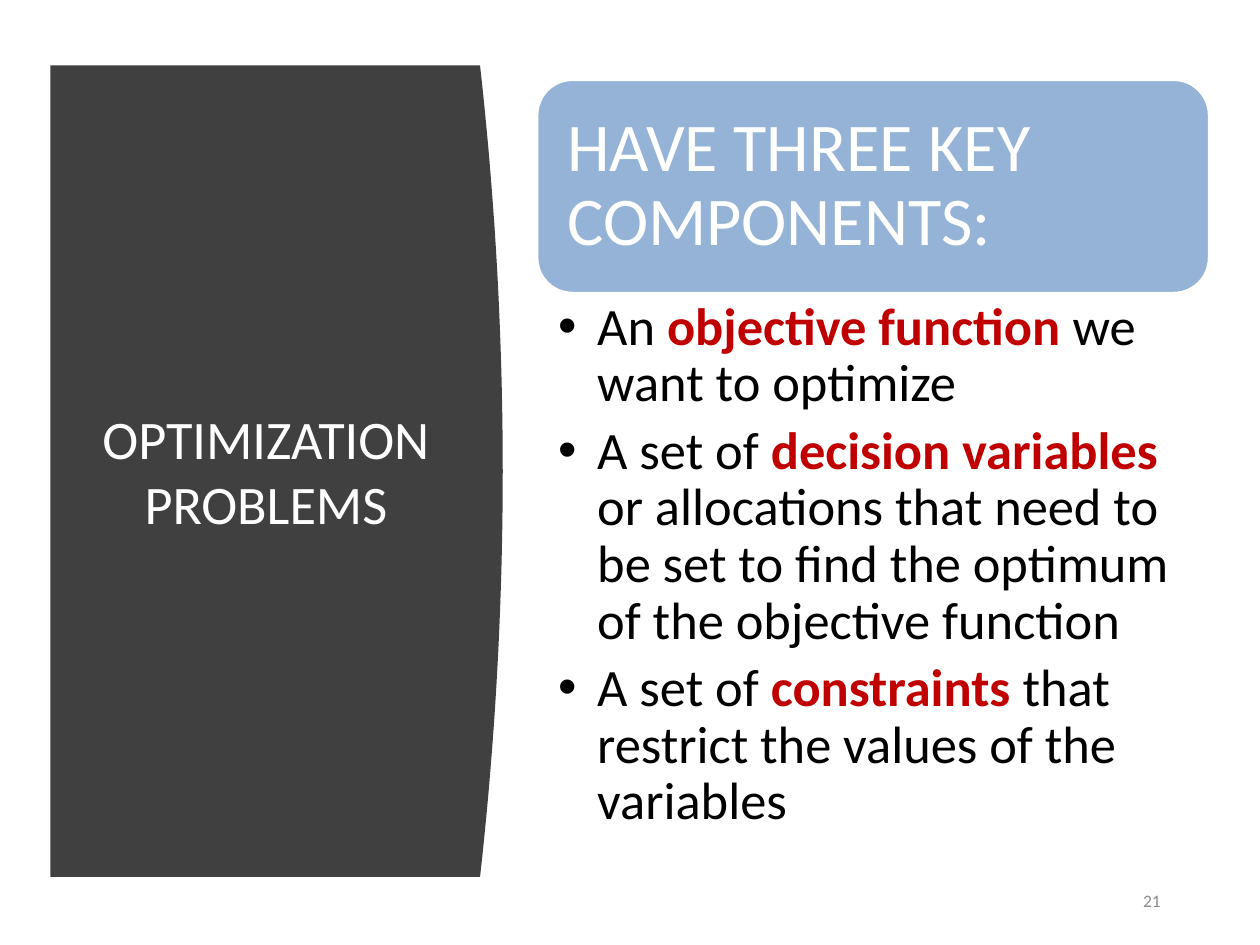
from pptx import Presentation
from pptx.dml.color import RGBColor
from pptx.enum.shapes import MSO_SHAPE
from pptx.enum.text import MSO_ANCHOR, MSO_AUTO_SIZE, PP_ALIGN
from pptx.oxml.ns import qn
from pptx.util import Inches, Pt
from lxml import etree

WHITE = RGBColor(0xFF, 0xFF, 0xFF)
BLACK = RGBColor(0, 0, 0)
DARK = RGBColor(0x40, 0x40, 0x40)
BLUE = RGBColor(0x95, 0xB3, 0xD7)
RED = RGBColor(0xC0, 0, 0)
GRAY = RGBColor(0x8C, 0x8C, 0x8C)
ROUNDED = MSO_SHAPE.ROUNDED_RECTANGLE
MIDDLE, TOP = MSO_ANCHOR.MIDDLE, MSO_ANCHOR.TOP
LEFT, CENTER, RIGHT = PP_ALIGN.LEFT, PP_ALIGN.CENTER, PP_ALIGN.RIGHT
NO_FIT = MSO_AUTO_SIZE.NONE


def place(sp, left, top, width, height):
    sp.left, sp.top = Inches(left), Inches(top)
    sp.width, sp.height = Inches(width), Inches(height)


def style(p, size, color, align):
    p.font.name = "Calibri"
    p.font.size = Pt(size)
    p.font.color.rgb = color
    p.alignment = align


prs = Presentation()
prs.slide_width, prs.slide_height = Inches(10), Inches(7.5)
s = prs.slides.add_slide(prs.slide_layouts[1])
title, body = s.shapes.title, s.placeholders[1]

left, top, bottom, bulge, edge = 0.4, 0.52, 6.96, 3.99, 3.81
half = (bottom - top) / 2
steps = 40
curve = []
for i in range(steps + 1):
    t = 2 * i / steps - 1
    x = bulge - (bulge - edge) * t ** 2
    curve.append((Inches(x), Inches(top + half * (t + 1))))
fb = s.shapes.build_freeform(Inches(left), Inches(top))
fb.add_line_segments(curve + [(Inches(left), Inches(bottom))], close=True)
panel = fb.convert_to_shape()
panel.shadow.inherit = False
panel.fill.solid()
panel.fill.fore_color.rgb = DARK
panel.line.fill.background()
s.shapes._spTree.insert(2, panel._element)

place(title, 0.71, 1.11, 2.8, 5.24)
tf = title.text_frame
tf.text = "OPTIMIZATION PROBLEMS"
tf.auto_size = NO_FIT
tf.vertical_anchor = MIDDLE
style(tf.paragraphs[0], 31, WHITE, CENTER)

header = s.shapes.add_shape(ROUNDED, Inches(4.26), Inches(0.63), Inches(5.34), Inches(1.7))
header.shadow.inherit = False
header.fill.solid()
header.fill.fore_color.rgb = BLUE
header.line.color.rgb = WHITE
header.line.width = Pt(2)
tf = header.text_frame
tf.text = "HAVE THREE KEY COMPONENTS:"
tf.word_wrap = True
tf.vertical_anchor = MIDDLE
tf.margin_left = tf.margin_right = Inches(0.16)
p = tf.paragraphs[0]
p.line_spacing = 0.9
style(p, 39, WHITE, LEFT)

components = [
    ("An ", "objective function", " we want to optimize"),
    ("A set of ", "decision variables ",
     "or allocations that need to be set to find the optimum of the objective function"),
    ("A set of ", "constraints", " that restrict the values of the variables"),
]
place(body, 4.26, 2.33, 5.34, 4.5)
tf = body.text_frame
tf.auto_size = NO_FIT
tf.vertical_anchor = TOP
tf.margin_left, tf.margin_right = Inches(0.17), Inches(0.3)
for i, (before, term, after) in enumerate(components):
    p = tf.add_paragraph() if i else tf.paragraphs[0]
    style(p, 30, BLACK, LEFT)
    p.line_spacing = 0.9
    p.space_before, p.space_after = Pt(0), Pt(6)
    pPr = p._p.get_or_add_pPr()
    pPr.set("marL", str(Inches(0.31)))
    pPr.set("indent", str(-Inches(0.31)))
    bullet = etree.Element(qn("a:buChar"), char="•")
    pPr.find(qn("a:defRPr")).addprevious(bullet)
    for text in (before, term, after):
        r = p.add_run()
        r.text = text
        r.font.name = "Calibri"
        r.font.size = Pt(30)
        r.font.bold = text == term
        r.font.color.rgb = RED if text == term else BLACK

number = s.shapes.add_textbox(Inches(8.8), Inches(6.95), Inches(0.51), Inches(0.4))
tf = number.text_frame
tf.text = "21"
tf.word_wrap = True
tf.vertical_anchor = MIDDLE
p = tf.paragraphs[0]
p.space_after = Pt(6)
style(p, 10, GRAY, RIGHT)

for sp in (title, header, number):
    r = sp.text_frame.paragraphs[0].runs[0]
    font = sp.text_frame.paragraphs[0].font
    r.font.name, r.font.size = font.name, font.size
    r.font.color.rgb = font.color.rgb

prs.save("out.pptx")
